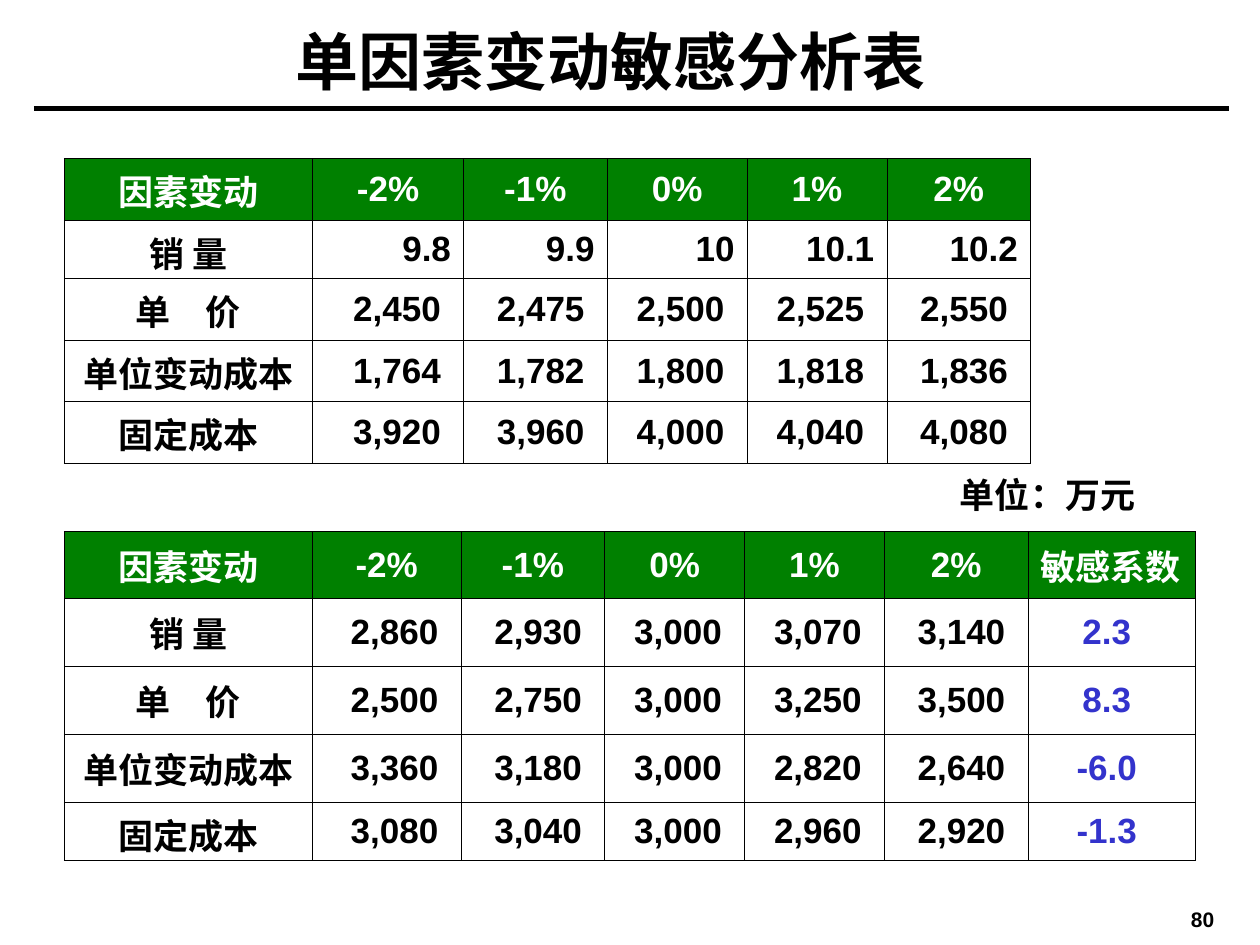
from pptx import Presentation
from pptx.dml.color import RGBColor
from pptx.enum import shapes, text
from pptx.oxml import ns, xmlchemy
from pptx.util import Inches, Pt

BLACK = RGBColor(0, 0, 0)
WHITE = RGBColor(255, 255, 255)
GREEN = RGBColor(0, 128, 0)
BLUE = RGBColor(0x33, 0x33, 0xCC)
LATIN, HAN, SERIF = "Arial", "Noto Sans CJK SC", "Times New Roman"
LEFT, MID, RIGHT = text.PP_ALIGN.LEFT, text.PP_ALIGN.CENTER, text.PP_ALIGN.RIGHT
CENTRE = text.MSO_ANCHOR.MIDDLE

HEAD = ["因素变动", "-2%", "-1%", "0%", "1%", "2%"]
NAMES = ["销 量", "单　价", "单位变动成本", "固定成本"]
FACTORS = [
    ["9.8", "9.9", "10", "10.1", "10.2"],
    ["2,450", "2,475", "2,500", "2,525", "2,550"],
    ["1,764", "1,782", "1,800", "1,818", "1,836"],
    ["3,920", "3,960", "4,000", "4,040", "4,080"],
]
PROFITS = [
    ["2,860", "2,930", "3,000", "3,070", "3,140", "2.3"],
    ["2,500", "2,750", "3,000", "3,250", "3,500", "8.3"],
    ["3,360", "3,180", "3,000", "2,820", "2,640", "-6.0"],
    ["3,080", "3,040", "3,000", "2,960", "2,920", "-1.3"],
]


class Deck:
    def __init__(self):
        self.prs = Presentation()
        self.prs.slide_width, self.prs.slide_height = Inches(10), Inches(7.5)
        self.slide = self.prs.slides.add_slide(self.prs.slide_layouts[6])

    def words(self, frame, words, font, size=20, color=BLACK, align=MID):
        para = frame.paragraphs[0]
        para.alignment = align
        run = para.add_run()
        run.text = words
        run.font.name, run.font.size, run.font.bold = font, Pt(size), True
        run.font.color.rgb = color
        if font == HAN:
            ea = xmlchemy.OxmlElement("a:ea")
            ea.set("typeface", HAN)
            run.font._element.find(ns.qn("a:latin")).addnext(ea)

    def label(self, box, words, font, size, align=MID, pad=0.05, anchor=None):
        frame = self.slide.shapes.add_textbox(*map(Inches, box)).text_frame
        frame.word_wrap = True
        frame.margin_top = frame.margin_bottom = Inches(pad)
        frame.vertical_anchor = anchor
        self.words(frame, words, font, size, align=align)

    def rule(self, left, right, top, width):
        line = self.slide.shapes.add_connector(
            shapes.MSO_CONNECTOR.STRAIGHT, Inches(left), Inches(top), Inches(right), Inches(top))
        line.line.color.rgb, line.line.width = BLACK, Pt(width)
        line._element.spPr.append(xmlchemy.OxmlElement("a:effectLst"))

    def border(self, cell):
        """Draw a thin black line on all four sides of a cell."""
        props = cell._tc.get_or_add_tcPr()
        for at, side in enumerate(("lnL", "lnR", "lnT", "lnB")):
            edge = xmlchemy.OxmlElement("a:" + side)
            edge.set("w", str(Pt(0.45)))
            fill = xmlchemy.OxmlElement("a:solidFill")
            tint = xmlchemy.OxmlElement("a:srgbClr")
            tint.set("val", str(BLACK))
            fill.append(tint)
            edge.append(fill)
            props.insert(at, edge)

    def cell(self, cell, words, row, col):
        """Style a cell by its place: header, row name, value or coefficient."""
        cell.vertical_anchor = CENTRE
        font = LATIN if words[-1] in "0123456789%" else HAN
        color, align = BLACK, MID
        if row == 0:
            color = WHITE
            align = LEFT if col == len(HEAD) else MID
            cell.fill.solid()
            cell.fill.fore_color.rgb = GREEN
        else:
            cell.fill.background()
            if col == len(HEAD):
                color = BLUE
            elif col > 0:
                align = RIGHT
            if col > 0 and ("," in words or col == len(HEAD)):
                cell.margin_right = Inches(0.18)
        self.words(cell.text_frame, words, font, color=color, align=align)
        self.border(cell)

    def table(self, left, top, cols, rows, data):
        box = map(Inches, (left, top, sum(cols), sum(rows)))
        grid = self.slide.shapes.add_table(len(rows), len(cols), *box).table
        grid.first_row = grid.horz_banding = False
        for col, width in zip(grid.columns, cols):
            col.width = Inches(width)
        for row, height in zip(grid.rows, rows):
            row.height = Inches(height)
        for r, line in enumerate(data):
            for c, words in enumerate(line):
                self.cell(grid.cell(r, c), words, r, c)


def named(values):
    return [[name, *line] for name, line in zip(NAMES, values)]


def main():
    deck = Deck()
    deck.rule(0.27, 9.75, 0.86, 3)
    deck.label((2.09, 0.13, 5.51, 0.7), "单因素变动敏感分析表", SERIF, 36)
    deck.table(0.51, 1.26, [1.97, 1.2, 1.14, 1.11, 1.11, 1.14],
               [0.49, 0.46, 0.49, 0.49, 0.49], [HEAD] + named(FACTORS))
    deck.table(0.51, 4.22, [1.97, 1.18, 1.14, 1.11, 1.11, 1.14, 1.33],
               [0.53, 0.54, 0.54, 0.54, 0.46], [HEAD + ["敏感系数"]] + named(PROFITS))
    deck.label((7.52, 3.71, 1.89, 0.44), "单位：万元", SERIF, 20, LEFT)
    deck.label((9.21, 7.21, 0.67, 0.17), "80", LATIN, 12, pad=0, anchor=CENTRE)
    deck.prs.save("out.pptx")


if __name__ == "__main__":
    main()
